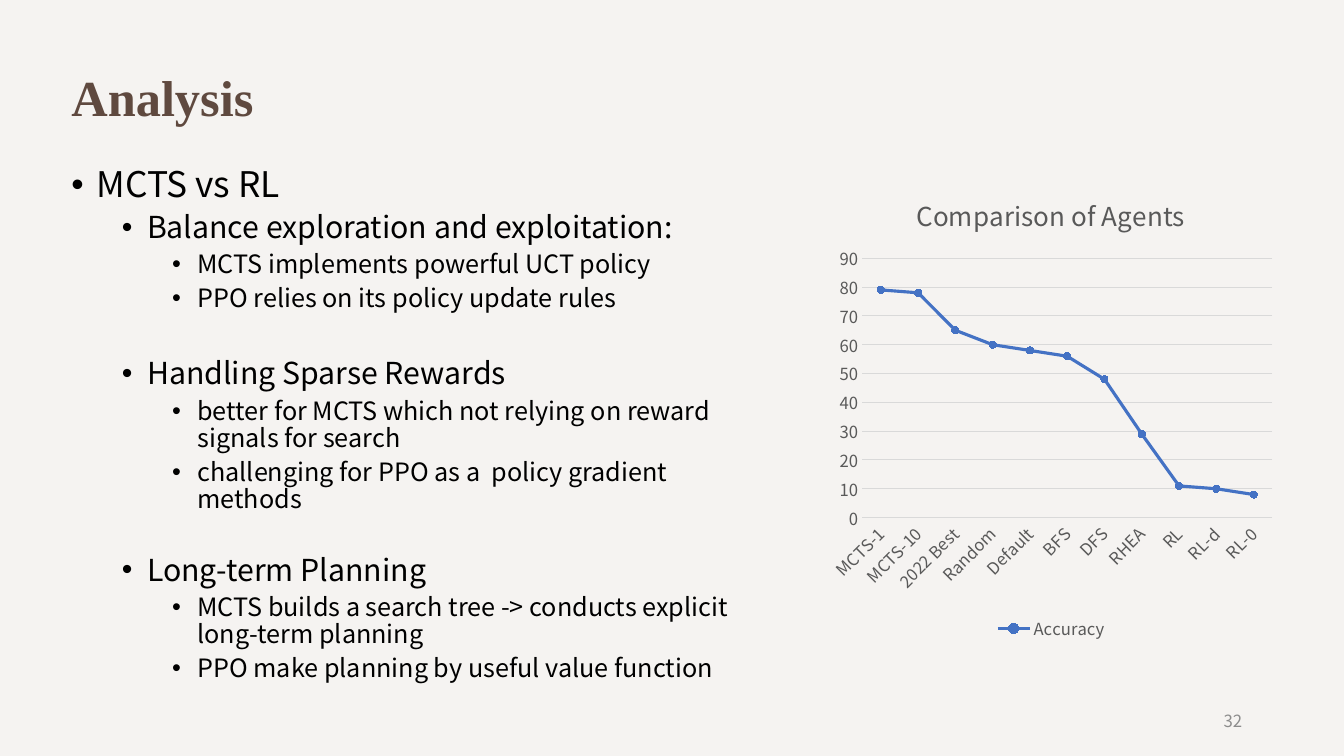
from lxml.etree import SubElement
from pptx import Presentation
from pptx.chart.data import CategoryChartData
from pptx.dml.color import RGBColor
from pptx.enum.chart import XL_CHART_TYPE, XL_LEGEND_POSITION, XL_MARKER_STYLE, XL_TICK_MARK
from pptx.enum.text import MSO_ANCHOR, PP_ALIGN
from pptx.oxml.ns import qn
from pptx.util import Inches, Pt

TITLE = "Analysis"
PAGE_NUMBER = "32"
OUTLINE = [
    (0, "MCTS vs RL", 0),
    (1, "Balance exploration and exploitation:", 5),
    (2, "MCTS implements powerful UCT policy", 5),
    (2, "PPO relies on its policy update rules", 5),
    (1, "Handling Sparse Rewards", 32.5),
    (2, "better for MCTS which not relying on reward signals for search", 5),
    (2, "challenging for PPO as a  policy gradient methods", 5),
    (1, "Long-term Planning", 29),
    (2, "MCTS builds a search tree -> conducts explicit long-term planning", 5),
    (2, "PPO make planning by useful value function", 5),
]
CHART_TITLE = "Comparison of Agents"
SERIES_NAME = "Accuracy"
ACCURACY = {
    "MCTS-1": 79, "MCTS-10": 78, "2022 Best": 65, "Random": 60,
    "Default": 58, "BFS": 56, "DFS": 48, "RHEA": 29,
    "RL": 11, "RL-d": 10, "RL-0": 8,
}
PLOT_SHARES = {"x": 0.09, "y": 0.18, "w": 0.89, "h": 0.55}

SANS = "Noto Sans CJK SC"
SERIF = "Times New Roman"
LEVEL_SIZES = (25.2, 21.6, 18)
LINE_SPACING = 0.9
BACKGROUND = RGBColor(0xF5, 0xF3, 0xF1)
BROWN = RGBColor(0x5F, 0x49, 0x3F)
BLACK = RGBColor(0, 0, 0)
PAGE_GRAY = RGBColor(0x8C, 0x8C, 0x8C)
CHART_GRAY = RGBColor(0x59, 0x59, 0x59)
GRID_GRAY = RGBColor(0xD9, 0xD9, 0xD9)
BLUE = RGBColor(0x44, 0x72, 0xC4)


def style_font(font, size, color, name=SANS, bold=False):
    font.size = Pt(size)
    font.name = name
    font.bold = bold
    font.color.rgb = color


def add_box(page, area, anchor):
    frame = page.shapes.add_textbox(*map(Inches, area)).text_frame
    frame.word_wrap = True
    frame.vertical_anchor = anchor
    return frame


def add_span(para, text, size, color, name=SANS, bold=False):
    span = para.add_run()
    span.text = text
    style_font(span.font, size, color, name, bold)


def add_outline(page):
    frame = add_box(page, (0.61, 1.61, 6.99, 5.23), MSO_ANCHOR.TOP)
    for index, (level, text, space) in enumerate(OUTLINE):
        para = frame.add_paragraph() if index else frame.paragraphs[0]
        para.level = level
        para.line_spacing = LINE_SPACING
        para.space_before = Pt(space)
        properties = para._p.get_or_add_pPr()
        properties.set("marL", str(Inches(0.25 + 0.5 * level)))
        properties.set("indent", str(-Inches(0.25)))
        SubElement(properties, qn("a:buFont")).set("typeface", "Arial")
        SubElement(properties, qn("a:buChar")).set("char", "•")
        add_span(para, text, LEVEL_SIZES[level], BLACK)


def style_line(line, color, width):
    line.color.rgb = color
    line.width = Pt(width)


def place_plot(chart):
    area = chart._chartSpace.chart.plotArea
    for layout in area.findall(qn("c:layout")):
        area.remove(layout)
    layout = SubElement(area, qn("c:layout"))
    area.insert(0, layout)
    manual = SubElement(layout, qn("c:manualLayout"))
    settings = {"layoutTarget": "inner", "xMode": "edge", "yMode": "edge", **PLOT_SHARES}
    for tag, value in settings.items():
        SubElement(manual, qn("c:" + tag)).set("val", str(value))


def add_agent_chart(page):
    data = CategoryChartData()
    data.categories = list(ACCURACY)
    data.add_series(SERIES_NAME, list(ACCURACY.values()))
    area = map(Inches, (8.14, 1.72, 4.57, 4.68))
    chart = page.shapes.add_chart(XL_CHART_TYPE.LINE_MARKERS, *area, data).chart
    style_font(chart.font, 11.9, CHART_GRAY)
    place_plot(chart)

    chart.has_title = True
    add_span(chart.chart_title.text_frame.paragraphs[0], CHART_TITLE, 18.6, CHART_GRAY)
    chart.has_legend = True
    chart.legend.position = XL_LEGEND_POSITION.BOTTOM
    chart.legend.include_in_layout = False
    style_font(chart.legend.font, 11.9, CHART_GRAY)

    for axis in (chart.category_axis, chart.value_axis):
        axis.major_tick_mark = XL_TICK_MARK.NONE
        axis.minor_tick_mark = XL_TICK_MARK.NONE
        style_font(axis.tick_labels.font, 11.9, CHART_GRAY)
    style_line(chart.category_axis.format.line, GRID_GRAY, 0.75)
    values = chart.value_axis
    values.minimum_scale = 0
    values.maximum_scale = 90
    values.major_unit = 10
    values.format.line.fill.background()
    style_line(values.major_gridlines.format.line, GRID_GRAY, 0.75)

    plot = chart.plots[0]
    plot.vary_by_categories = False
    series = plot.series[0]
    series.smooth = False
    style_line(series.format.line, BLUE, 2.25)
    series.marker.style = XL_MARKER_STYLE.CIRCLE
    series.marker.size = 5
    series.marker.format.fill.solid()
    series.marker.format.fill.fore_color.rgb = BLUE
    style_line(series.marker.format.line, BLUE, 0.75)


def main():
    deck = Presentation()
    deck.slide_width = Inches(13.33)
    deck.slide_height = Inches(7.5)
    page = deck.slides.add_slide(deck.slide_layouts[6])
    page.background.fill.solid()
    page.background.fill.fore_color.rgb = BACKGROUND

    title = add_box(page, (0.61, 0.27, 11.5, 1.45), MSO_ANCHOR.MIDDLE).paragraphs[0]
    title.line_spacing = 0.9
    add_span(title, TITLE, 36, BROWN, SERIF, True)

    number = add_box(page, (9.42, 6.95, 3, 0.4), MSO_ANCHOR.MIDDLE).paragraphs[0]
    number.alignment = PP_ALIGN.RIGHT
    add_span(number, PAGE_NUMBER, 12, PAGE_GRAY)

    add_outline(page)
    add_agent_chart(page)
    deck.save("out.pptx")


if __name__ == "__main__":
    main()
